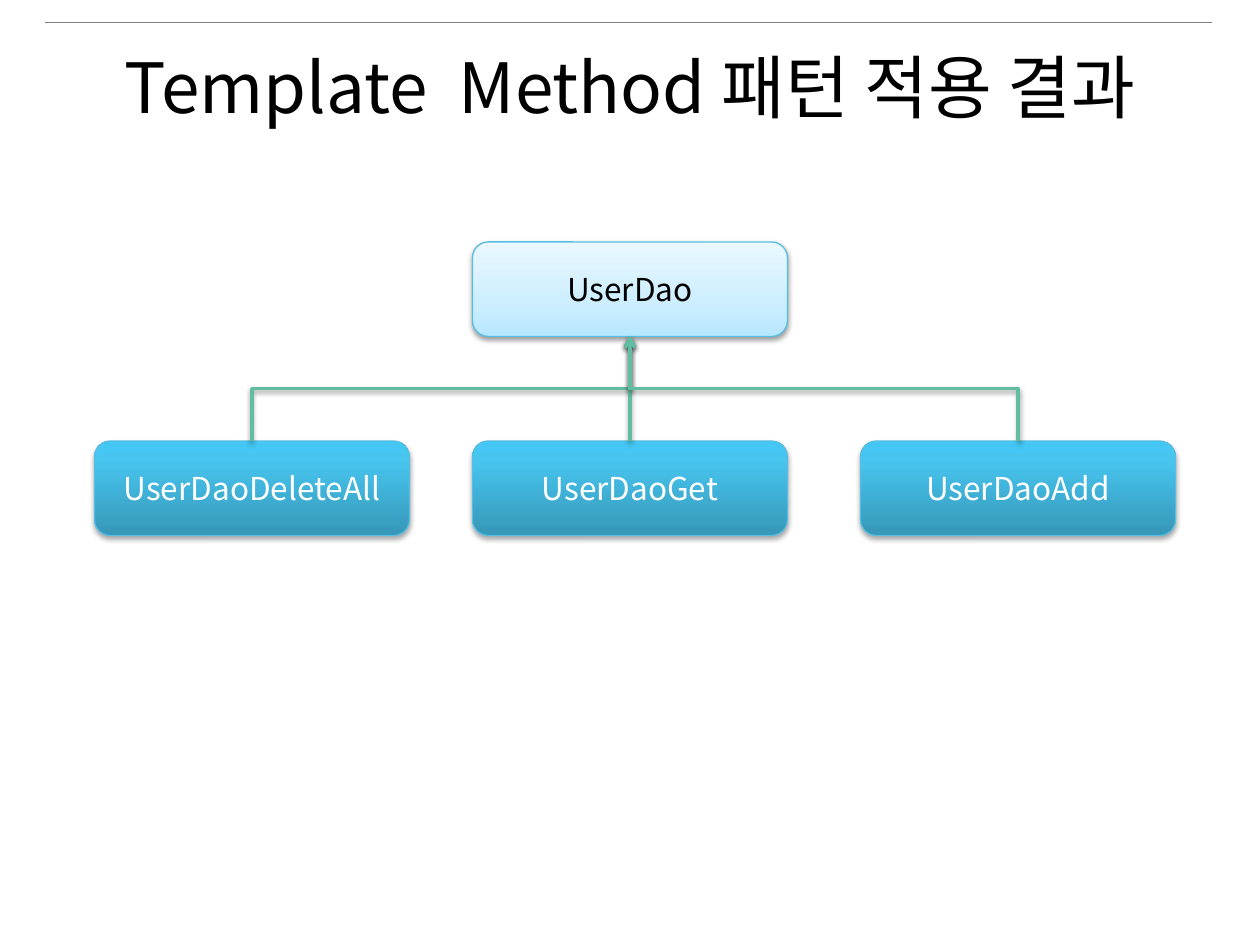
"""Build a class diagram slide for the Template Method pattern."""
from dataclasses import dataclass

from lxml.etree import SubElement
from pptx import Presentation
from pptx.dml.color import RGBColor
from pptx.enum.shapes import MSO_CONNECTOR as Connector, MSO_SHAPE as Shape
from pptx.enum.text import MSO_ANCHOR as Anchor, PP_ALIGN as Align
from pptx.oxml.ns import qn
from pptx.util import Inches, Pt

FONT = "Noto Sans CJK KR"
COLORS = {
    "black": "000000",
    "white": "FFFFFF",
    "rule": "808080",
    "border": "58BEE1",
    "arrow": "61BDA1",
}
PARENT_STOPS = ((0, "B7E7FF"), (35, "CCEEFF"), (100, "EBF8FF"))
CHILD_STOPS = ((0, "3697B8"), (80, "47C5EF"), (100, "44C7F4"))
BOX_WIDTH, BOX_HEIGHT = Inches(2.5), Inches(0.75)
TOP_SITE, BOTTOM_SITE = 0, 2


@dataclass(frozen=True)
class ClassBox:
    name: str
    left: float
    top: float
    stops: tuple
    text_color: str
    shadow_alpha: int
    shadow_distance: float


def child_box(name: str, left: float) -> ClassBox:
    return ClassBox(name, left, 3.5, CHILD_STOPS, "white", 35, 1.8)


PARENT = ClassBox("UserDao", 3.75, 1.92, PARENT_STOPS, "black", 38, 1.6)
CHILDREN = (
    child_box("UserDaoDeleteAll", 0.75),
    child_box("UserDaoGet", 3.75),
    child_box("UserDaoAdd", 6.83),
)


def rgb(name: str) -> RGBColor:
    return RGBColor.from_string(COLORS[name])


def format_text(text_frame, size: float, color: str) -> None:
    for paragraph in text_frame.paragraphs:
        paragraph.alignment = Align.CENTER
        for run in paragraph.runs:
            run.font.size = Pt(size)
            run.font.name = FONT
            run.font.color.rgb = rgb(color)
            SubElement(run.font._element, qn("a:ea"), typeface=FONT)


def format_line(shape, color: str, width: float) -> None:
    shape.line.color.rgb = rgb(color)
    shape.line.width = Pt(width)


def add_effects(shape):
    return SubElement(shape._element.spPr, qn("a:effectLst"))


def add_shadow(shape, alpha: int, distance: float) -> None:
    shadow = SubElement(
        add_effects(shape), qn("a:outerShdw"), blurRad=str(Pt(3.1)),
        dist=str(Pt(distance)), dir="5400000", rotWithShape="0",
    )
    color = SubElement(shadow, qn("a:srgbClr"), val=COLORS["black"])
    SubElement(color, qn("a:alpha"), val=str(alpha * 1000))


def fill_gradient(shape, stops: tuple) -> None:
    shape.fill.gradient()
    shape.fill.gradient_angle = 90
    stop_list = shape._element.spPr.find(".//" + qn("a:gsLst"))
    for stop in list(stop_list):
        stop_list.remove(stop)
    for position, color in stops:
        stop = SubElement(stop_list, qn("a:gs"), pos=str(position * 1000))
        SubElement(stop, qn("a:srgbClr"), val=color)


def add_class_box(slide, box: ClassBox):
    shape = slide.shapes.add_shape(
        Shape.ROUNDED_RECTANGLE, Inches(box.left), Inches(box.top), BOX_WIDTH, BOX_HEIGHT
    )
    fill_gradient(shape, box.stops)
    format_line(shape, "border", 0.75)
    add_shadow(shape, box.shadow_alpha, box.shadow_distance)
    shape.text_frame.text = box.name
    shape.text_frame.vertical_anchor = Anchor.MIDDLE
    format_text(shape.text_frame, 18, box.text_color)
    return shape


def add_inheritance_arrow(slide, child, parent) -> None:
    """Draw an elbow from child to parent, turned so that it leaves vertically."""
    start_x, start_y = child.left + BOX_WIDTH // 2, child.top
    end_x, end_y = parent.left + BOX_WIDTH // 2, parent.top + BOX_HEIGHT
    connector = slide.shapes.add_connector(Connector.ELBOW, start_x, start_y, end_x, end_y)
    connector.begin_connect(child, TOP_SITE)
    connector.end_connect(parent, BOTTOM_SITE)
    rise, run = start_y - end_y, abs(start_x - end_x)
    connector.left = (start_x + end_x - rise) // 2
    connector.top = (start_y + end_y - run) // 2
    connector.width, connector.height = rise, run
    properties = connector._element.spPr
    transform = properties.find(qn("a:xfrm"))
    transform.set("rot", "16200000")
    transform.set("flipH", "0")
    transform.set("flipV", "1" if start_x > end_x else "0")
    format_line(connector, "arrow", 2)
    SubElement(properties.find(qn("a:ln")), qn("a:tailEnd"), type="arrow")
    add_shadow(connector, 38, 1.6)


def add_rule(slide) -> None:
    rule = slide.shapes.add_connector(
        Connector.STRAIGHT, Inches(0.36), Inches(0.18), Inches(9.62), Inches(0.18)
    )
    format_line(rule, "rule", 0.25)
    add_effects(rule)


def set_title(slide, text: str) -> None:
    title = slide.shapes.title
    title.left, title.top = Inches(0.5), Inches(0.3)
    title.width, title.height = Inches(9), Inches(1.17)
    title.text_frame.text = text
    title.text_frame.vertical_anchor = Anchor.TOP
    format_text(title.text_frame, 39.6, "black")


def main() -> None:
    presentation = Presentation()
    presentation.slide_width, presentation.slide_height = Inches(10), Inches(7.5)
    slide = presentation.slides.add_slide(presentation.slide_layouts[5])
    add_rule(slide)
    set_title(slide, "Template  Method 패턴 적용 결과")
    parent = add_class_box(slide, PARENT)
    children = [add_class_box(slide, box) for box in CHILDREN]
    for child in children:
        add_inheritance_arrow(slide, child, parent)
    presentation.save("out.pptx")


if __name__ == "__main__":
    main()
